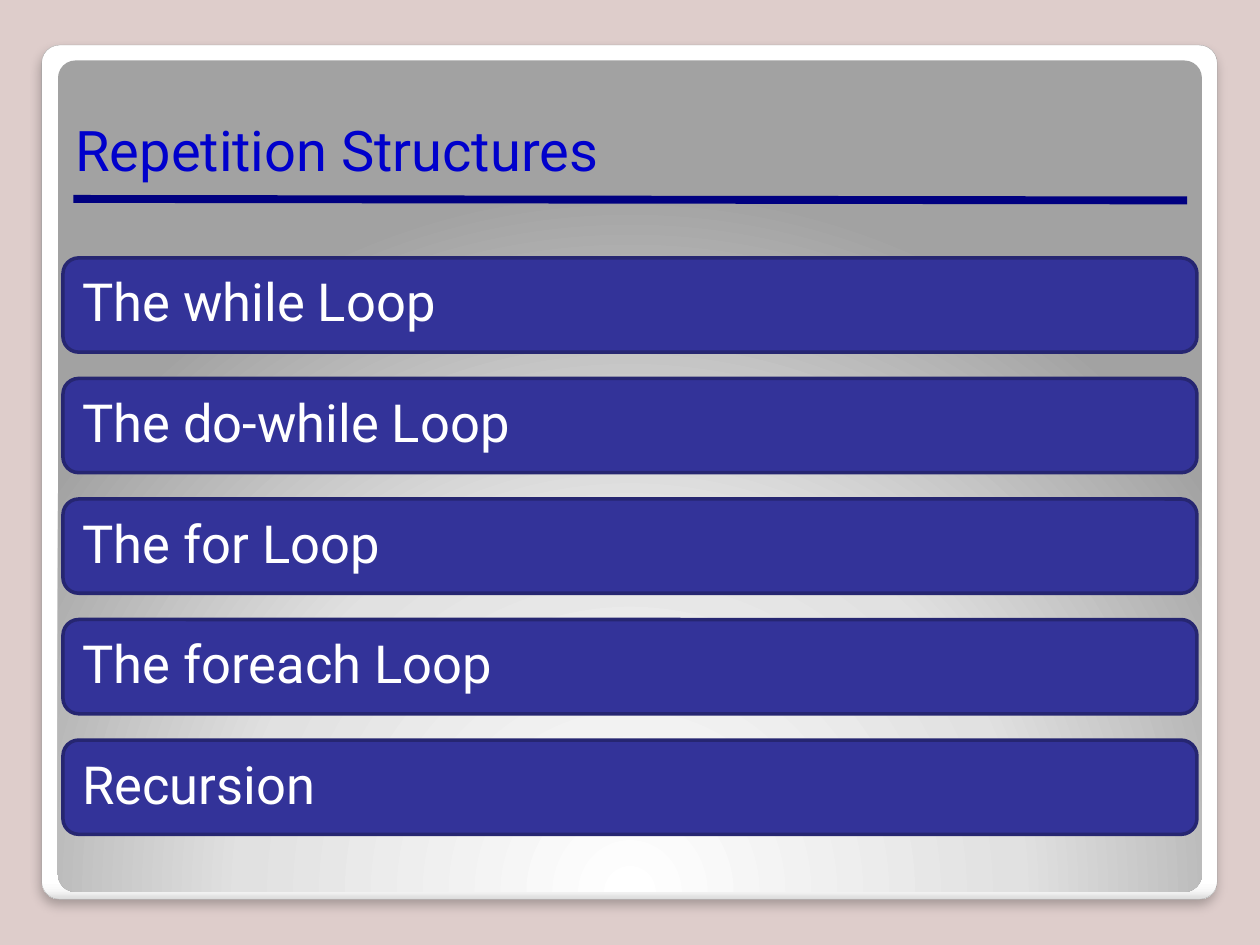
from pptx import Presentation
from pptx.dml.color import RGBColor
from pptx.enum.shapes import MSO_CONNECTOR, MSO_SHAPE
from pptx.enum.text import MSO_ANCHOR, PP_ALIGN
from pptx.oxml import parse_xml
from pptx.oxml.ns import nsdecls, qn
from pptx.util import Cm, Pt

BACKDROP = RGBColor(0xDE, 0xCD, 0xCB)
FRAME_EDGE = RGBColor(0xA4, 0xA4, 0xA4)
NAVY = RGBColor(0x00, 0x00, 0x80)
TITLE_BLUE = RGBColor(0x00, 0x00, 0xCC)
BAR_FILL = RGBColor(0x33, 0x33, 0x99)
BAR_EDGE = RGBColor(0x26, 0x26, 0x71)
WHITE = RGBColor(0xFF, 0xFF, 0xFF)

LINEAR = '<a:lin ang="5400000" scaled="0"/>'
RADIAL = ('<a:path path="circle"><a:fillToRect l="50000" t="175000" '
          'r="50000" b="-75000"/></a:path>')


def write(shape, text, size=30, color=WHITE, anchor=MSO_ANCHOR.MIDDLE,
          inset=0.25, spacing=1.0):
    tf = shape.text_frame
    tf.word_wrap = True
    tf.vertical_anchor = anchor
    tf.margin_left = tf.margin_right = Cm(inset)
    tf.margin_top = tf.margin_bottom = Cm(0.13)
    p = tf.paragraphs[0]
    p.alignment = PP_ALIGN.LEFT
    p.line_spacing = spacing
    r = p.add_run()
    r.text = text
    r.font.name = "Roboto"
    r.font.size = Pt(size)
    r.font.color.rgb = color


prs = Presentation()
prs.slide_width, prs.slide_height = Cm(25.4), Cm(19.05)
s = prs.slides.add_slide(prs.slide_layouts[6])
s.background.fill.solid()
s.background.fill.fore_color.rgb = BACKDROP

# White frame and grey panel
panels = [
    ((0.84, 0.91, 23.7, 17.22), LINEAR,
     [(0, "FFFFFF"), (98, "FFFFFF"), (99, "F7F7F7"), (100, "DADADA")]),
    ((1.17, 1.22, 23.06, 16.76), RADIAL,
     [(0, "FFFFFF"), (55, "E1E1E1"), (100, "A2A2A2")]),
]
for box, direction, stops in panels:
    sp = s.shapes.add_shape(MSO_SHAPE.ROUNDED_RECTANGLE, *map(Cm, box))
    sp.adjustments[0] = 0.021
    sp.shadow.inherit = False
    spPr = sp._element.spPr
    if direction == LINEAR:
        sp.line.color.rgb = FRAME_EDGE
        sp.line.width = Pt(0.16)
        spPr.find(qn("a:effectLst")).append(parse_xml(
            f'<a:outerShdw {nsdecls("a")} blurRad="76200" dist="50800" '
            'dir="5400000" algn="tl" rotWithShape="0"><a:srgbClr val="000000">'
            '<a:alpha val="25000"/></a:srgbClr></a:outerShdw>'))
    else:
        sp.line.fill.background()
    gs = "".join(f'<a:gs pos="{pos * 1000}"><a:srgbClr val="{rgb}"/></a:gs>'
                 for pos, rgb in stops)
    spPr.find(qn("a:prstGeom")).addnext(parse_xml(
        f'<a:gradFill {nsdecls("a")} rotWithShape="1">'
        f'<a:gsLst>{gs}</a:gsLst>{direction}</a:gradFill>'))

# Title and rule
rule = s.shapes.add_connector(MSO_CONNECTOR.STRAIGHT,
                              Cm(1.48), Cm(4.01), Cm(23.93), Cm(4.04))
rule.line.color.rgb = NAVY
rule.line.width = Pt(4.5)
rule._element.spPr.append(parse_xml(f'<a:effectLst {nsdecls("a")}/>'))
title = s.shapes.add_textbox(Cm(1.27), Cm(1.27), Cm(22.86), Cm(2.54))
write(title, "Repetition Structures", size=32, color=TITLE_BLUE,
      anchor=MSO_ANCHOR.BOTTOM)

# Topic bars
topics = ["The while Loop", "The do-while Loop", "The for Loop",
          "The foreach Loop", "Recursion"]
for i, topic in enumerate(topics):
    bar = s.shapes.add_shape(MSO_SHAPE.ROUNDED_RECTANGLE, Cm(1.27),
                             Cm(5.2 + 2.43 * i), Cm(22.86), Cm(1.9))
    bar.shadow.inherit = False
    bar.fill.solid()
    bar.fill.fore_color.rgb = BAR_FILL
    bar.line.color.rgb = BAR_EDGE
    bar.line.width = Pt(2)
    write(bar, topic, inset=0.3, spacing=0.9)

prs.save("out.pptx")
